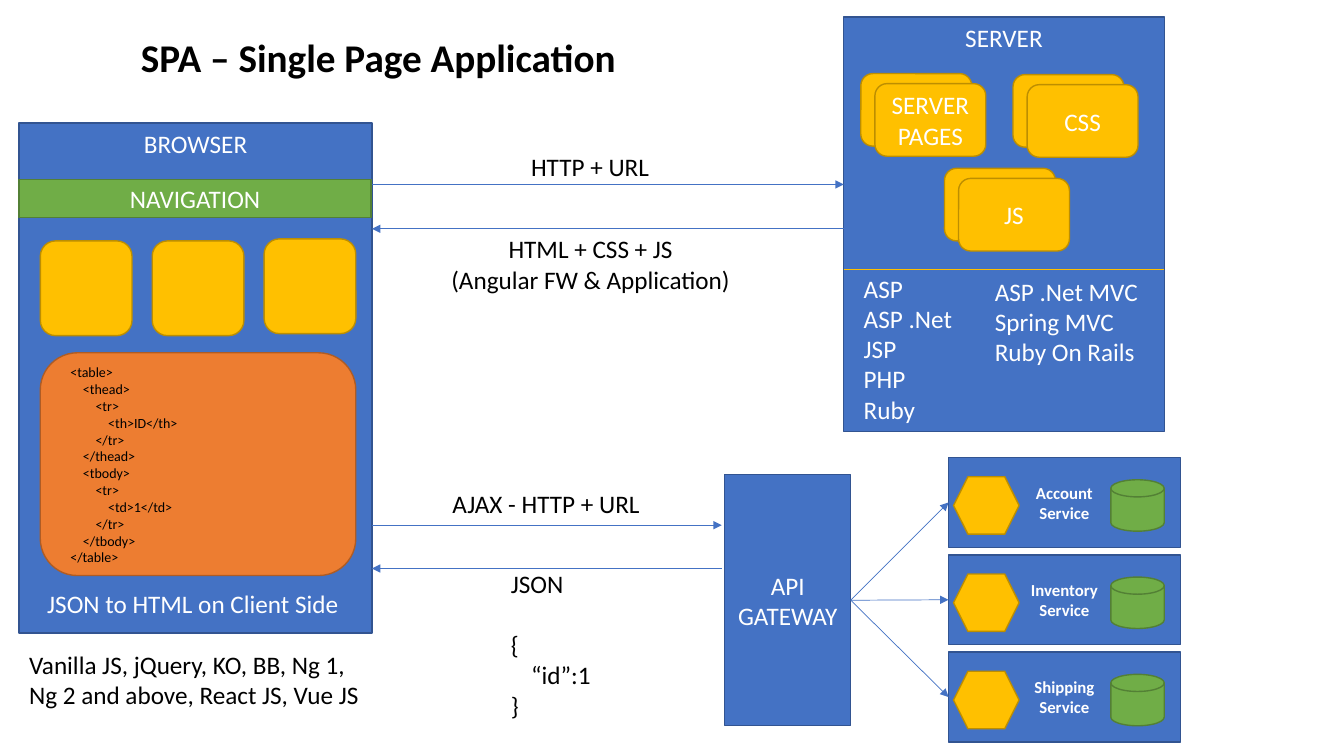
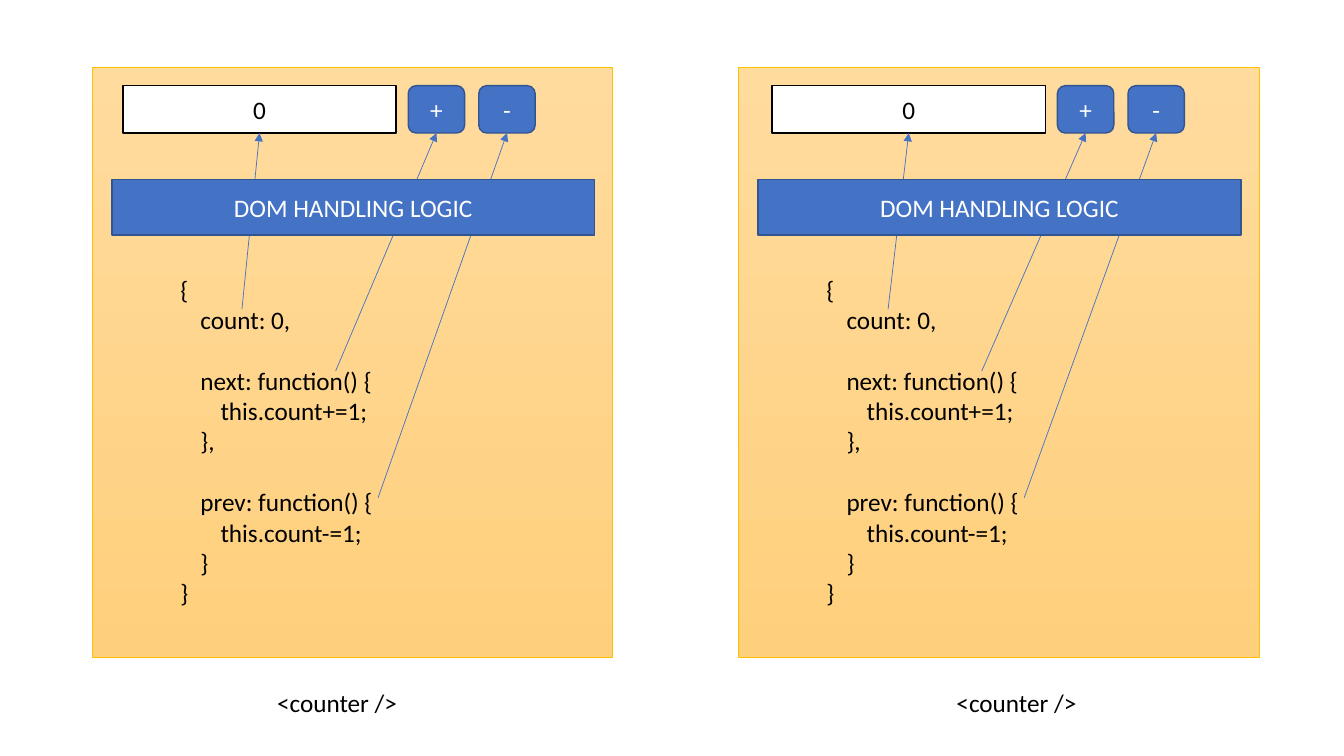
from dataclasses import dataclass

import pptx
import pptx.dml.color
import pptx.enum.shapes
import pptx.enum.text
import pptx.oxml
import pptx.oxml.ns
import pptx.util

SHAPE = pptx.enum.shapes.MSO_SHAPE
ALIGN = pptx.enum.text.PP_ALIGN
ANCHOR = pptx.enum.text.MSO_ANCHOR
CELL = pptx.util.Inches(0.1)
COLUMNS, ROWS = 133.33, 75


def color(value):
    return pptx.dml.color.RGBColor.from_string(value)


@dataclass(frozen=True)
class Theme:
    font: str = "Calibri"
    title: int = 28
    body: int = 18
    small: int = 12
    code: int = 10
    edge: float = 1
    hairline: float = 0.5
    line_height: float = 1.22
    indent: float = 0.2
    black: str = "000000"
    white: str = "FFFFFF"
    blue: tuple = ("4472C4", "325491")
    gold: tuple = ("FFC000", "BD8E00")
    green: tuple = ("70AD47", "538035")
    orange: tuple = ("ED7D31", "AF5C24")
    plain: tuple = ("FFFFFF", "000000")
    panel: tuple = ("FFDB9E", "FFD07C")


THEME = Theme()


@dataclass(frozen=True)
class Box:
    left: float
    top: float
    width: float
    height: float

    def inner(self, left, top, width, height):
        return Box(self.left + left, self.top + top, width, height)

    def point(self, column, row):
        return self.left + column, self.top + row

    def emu(self):
        return [round(n * CELL) for n in (self.left, self.top, self.width, self.height)]


def apply(target, values):
    for name, value in values.items():
        setattr(target, name, value)


def write(frame, text, size=THEME.body, ink=THEME.black, bold=False, align=ALIGN.LEFT):
    gap = 0
    started = False
    for line in text.strip("\n").split("\n"):
        content = line.lstrip("\t")
        if not content:
            gap += size * THEME.line_height
            continue
        paragraph = frame.add_paragraph() if started else frame.paragraphs[0]
        started = True
        level = len(line) - len(content)
        if level:
            margin = pptx.util.Inches(level * THEME.indent)
            paragraph._p.get_or_add_pPr().set("marL", str(margin))
        paragraph.alignment = align
        if gap:
            paragraph.space_before = pptx.util.Pt(gap)
        gap = 0
        run = paragraph.add_run()
        run.text = content
        apply(run.font, {"name": THEME.font, "size": pptx.util.Pt(size), "bold": bold})
        run.font.color.rgb = color(ink)


def label(shapes, box, text, wrap=False, **style):
    frame = shapes.add_textbox(*box.emu()).text_frame
    apply(frame, {
        "word_wrap": wrap,
        "auto_size": pptx.enum.text.MSO_AUTO_SIZE.SHAPE_TO_FIT_TEXT,
    })
    write(frame, text, **style)


def block(shapes, box, colors, text="", kind=SHAPE.RECTANGLE, anchor=ANCHOR.MIDDLE, **style):
    shape = shapes.add_shape(kind, *box.emu())
    shape.shadow.inherit = False
    shape.fill.solid()
    shape.fill.fore_color.rgb = color(colors[0])
    shape.line.color.rgb = color(colors[1])
    shape.line.width = pptx.util.Pt(THEME.edge)
    if text:
        apply(shape.text_frame, {"word_wrap": True, "vertical_anchor": anchor})
        write(shape.text_frame, text, **{"ink": THEME.white, "align": ALIGN.CENTER, **style})
    return shape


def rule(shapes, start, end, ink=THEME.blue[0], arrow=True):
    ends = [round(n * CELL) for n in (*start, *end)]
    line = shapes.add_connector(pptx.enum.shapes.MSO_CONNECTOR.STRAIGHT, *ends)
    line.line.color.rgb = color(ink)
    line.line.width = pptx.util.Pt(THEME.hairline)
    if arrow:
        tail = pptx.oxml.parse_xml(
            '<a:tailEnd %s type="triangle"/>' % pptx.oxml.ns.nsdecls("a"))
        line.line._get_or_add_ln().append(tail)
    line._element.spPr.append(
        pptx.oxml.parse_xml("<a:effectLst %s/>" % pptx.oxml.ns.nsdecls("a")))
    return line


def resource(shapes, box, name):
    stack = shapes.add_group_shape().shapes
    for offset, text in ((0, ""), (1, name)):
        block(stack, box.inner(1.4 * offset, offset, 11, 7.2), THEME.gold, text,
              SHAPE.ROUNDED_RECTANGLE)


def server(shapes, box):
    block(shapes, box, THEME.blue, "SERVER", anchor=ANCHOR.TOP)
    label(shapes, box.inner(1, 24.9, 10.9, 16.2), "ASP\nASP .Net\nJSP\nPHP\nRuby",
          ink=THEME.white)
    label(shapes, box.inner(14, 25.2, 17.8, 10.1), "ASP .Net MVC\nSpring MVC\nRuby On Rails",
          wrap=True, ink=THEME.white)
    for name, column, row in (("SERVER PAGES", 1.7, 5.6), ("CSS", 16.8, 5.7), ("JS", 10, 15)):
        resource(shapes, box.inner(column, row, 12.4, 8.2), name)
    rule(shapes, box.point(0, 25), box.point(box.width, 25), THEME.gold[0], arrow=False)


TABLE_CODE = """
<table>
    <thead>
        <tr>
            <th>ID</th>
        </tr>
    </thead>
    <tbody>
        <tr>
            <td>1</td>
        </tr>
    </tbody>
</table>
"""


def browser(shapes, box):
    block(shapes, box, THEME.blue, "BROWSER", anchor=ANCHOR.TOP)
    block(shapes, box.inner(0, 5.6, 34.9, 3.8), THEME.green, "NAVIGATION")
    for index, row in enumerate((11.7, 11.7, 11.5)):
        block(shapes, box.inner(2.1 + 11.1 * index, row, 9.1, 9.4), THEME.gold,
              kind=SHAPE.ROUNDED_RECTANGLE)
    block(shapes, box.inner(2.1, 22.8, 31.3, 22.1), THEME.orange, kind=SHAPE.ROUNDED_RECTANGLE)
    label(shapes, box.inner(4.1, 23.4, 24.4, 21.2), TABLE_CODE, wrap=True, size=THEME.code)
    label(shapes, box.inner(1.8, 45.7, 31.3, 4), "JSON to HTML on Client Side", ink=THEME.white)
    label(shapes, box.inner(0, 51.7, 35.2, 7.1),
          "Vanilla JS, jQuery, KO, BB, Ng 1,\nNg 2 and above, React JS, Vue JS")


def exchange(shapes, box, request, request_place, reply, reply_place, **reply_style):
    rule(shapes, box.point(0, 0), box.point(box.width, 0))
    rule(shapes, box.point(box.width, box.height), box.point(0, box.height))
    label(shapes, box.inner(*request_place), request)
    label(shapes, box.inner(*reply_place), reply, **reply_style)


def service(shapes, box, name):
    members = shapes.add_group_shape().shapes
    card = block(members, box, THEME.blue, name + "\nService", size=THEME.small, bold=True)
    block(members, box.inner(0.5, 1.9, 6.5, 5.7), THEME.gold, kind=SHAPE.HEXAGON)
    block(members, box.inner(16.1, 2.2, 5.3, 5.1), THEME.green,
          kind=SHAPE.FLOWCHART_MAGNETIC_DISK)
    return card


def gateway(shapes, box):
    hub = block(shapes, box.inner(0, 1.7, 12.5, 24.9), THEME.blue, "API GATEWAY")
    for index, name in enumerate(("Account", "Inventory", "Shipping")):
        card = service(shapes, box.inner(22.2, 9.65 * index, 23, 8.9), name)
        route = rule(shapes, box.point(12.5, 14.1), box.point(22.2, 14.1))
        route.begin_connect(hub, 3)
        route.end_connect(card, 1)


def application_slide(shapes):
    server(shapes, Box(83.7, 1.7, 31.8, 41.1))
    browser(shapes, Box(1.9, 12.2, 35, 50.6))
    label(shapes, Box(13, 2.8, 49.7, 5.7), "SPA – Single Page Application",
          size=THEME.title, bold=True)
    exchange(shapes, Box(36.9, 18.3, 46.8, 4.4),
             "HTTP + URL", (14.8, -3.8, 13.9, 4),
             "HTML + CSS + JS\n(Angular FW & Application)", (6.7, 4.4, 30, 7.1),
             align=ALIGN.CENTER)
    exchange(shapes, Box(36.9, 52.1, 34.7, 4.3),
             "AJAX - HTTP + URL", (7, -4.1, 20.8, 4),
             "JSON\n\n{\n\t“id”:1\n}", (12.8, 3.8, 12, 16.2), wrap=True)
    gateway(shapes, Box(71.9, 45.4, 45.2, 28.2))


COUNTER_CODE = """
{
\tcount: 0,

\tnext: function() {
\t\tthis.count+=1;
\t},

\tprev: function() {
\t\tthis.count-=1;
\t}
}
"""


def counter(shapes, box, controls_column, caption_column):
    panel = block(shapes, box, THEME.plain)
    panel.fill.gradient()
    panel.fill.gradient_angle = 270
    for stop, tone in zip(panel.fill.gradient_stops, THEME.panel):
        stop.color.rgb = color(tone)
    panel.line.color.rgb = color(THEME.gold[0])
    panel.line.width = pptx.util.Pt(THEME.hairline)

    controls = box.inner(controls_column, 1.8, 40.9, 4.7)
    targets = [block(shapes, controls.inner(0, 0, 27.1, 4.7), THEME.plain, "0", ink=THEME.black)]
    for index, sign in enumerate("+-"):
        targets.append(block(shapes, controls.inner(28.3 + 7 * index, 0, 5.6, 4.7), THEME.blue,
                             sign, SHAPE.ROUNDED_RECTANGLE))
    label(shapes, box.inner(7.7, 20, 24, 34.3), COUNTER_CODE, wrap=True)
    for target, column, row in zip(targets, (14.8, 24.1, 28.3), (24, 30.1, 42.7)):
        binding = rule(shapes, box.point(column, row), controls.point(0, 4.7))
        binding.end_connect(target, 2)
    block(shapes, box.inner(1.9, 11.1, 47.9, 5.5), THEME.blue, "DOM HANDLING LOGIC")
    label(shapes, box.inner(caption_column, 61, 14.1, 4), "<counter />")


def counters_slide(shapes):
    for column, controls_column, caption_column in ((9.2, 3, 17.3), (73.3, 3.3, 20.6)):
        counter(shapes, Box(column, 6.7, 51.6, 58.5), controls_column, caption_column)


def main():
    deck = pptx.Presentation()
    apply(deck, {"slide_width": round(COLUMNS * CELL), "slide_height": ROWS * CELL})
    for build in (application_slide, counters_slide):
        build(deck.slides.add_slide(deck.slide_layouts[6]).shapes)
    deck.save("out.pptx")


if __name__ == "__main__":
    main()
